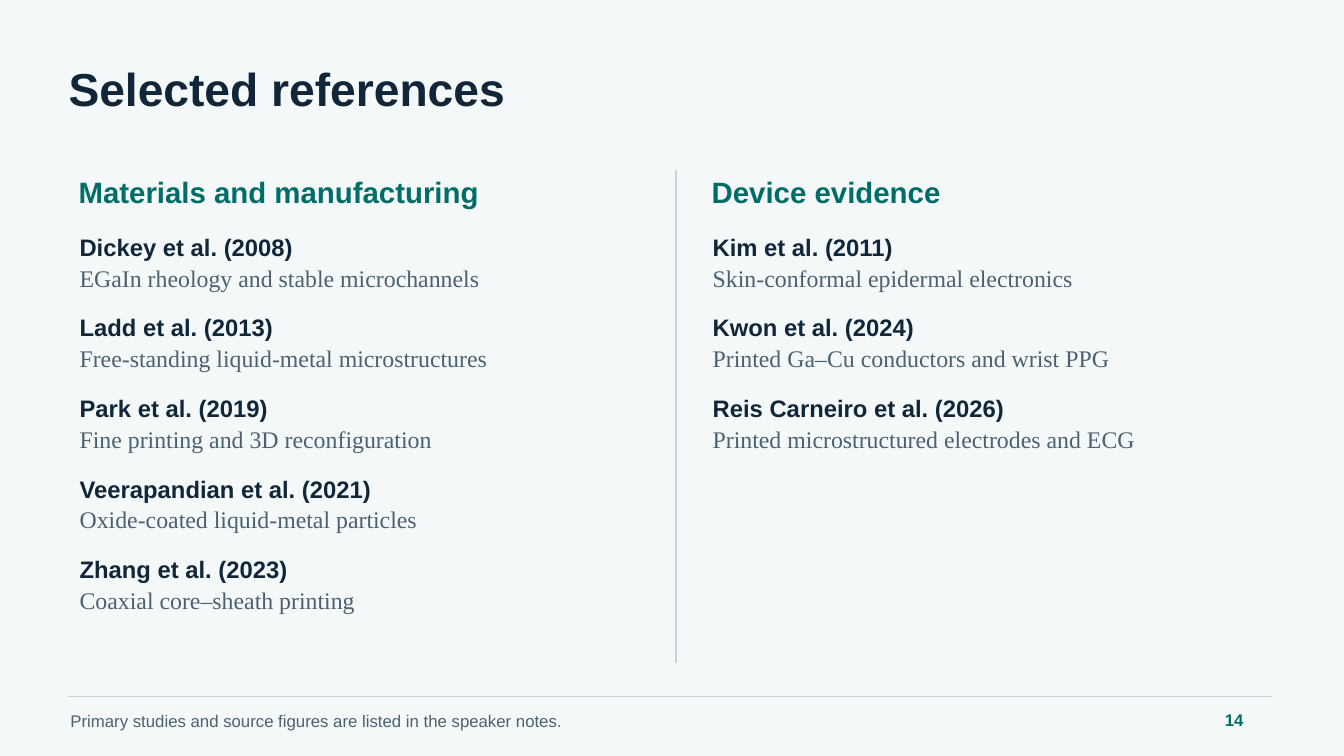
"""Build the selected references slide with two columns of studies."""
from dataclasses import dataclass

from lxml.etree import SubElement
from pptx import Presentation
from pptx.dml.color import RGBColor
from pptx.enum.shapes import MSO_CONNECTOR
from pptx.oxml.ns import qn
from pptx.slide import Slide
from pptx.util import Pt

COLORS = {
    "background": "F5F8F8",
    "ink": "112638",
    "muted": "4C6170",
    "accent": "006D68",
    "rule": "C7D5DB",
}
COLUMN_TOP = 121.7
FIRST_STUDY_TOP = 163.4
STUDY_PITCH = 57.6
TOPIC_OFFSET = 22.3


@dataclass(frozen=True)
class TextStyle:
    font: str
    size: float
    line_spacing: float
    color: str
    bold: bool = False


@dataclass(frozen=True)
class Study:
    citation: str
    topic: str


@dataclass(frozen=True)
class Column:
    heading: str
    left: float
    width: float
    studies: tuple[Study, ...]


TITLE = TextStyle("Arial", 33, 41.4, "ink", True)
HEADING = TextStyle("Arial", 21, 26.6, "accent", True)
CITATION = TextStyle("Arial", 17, 21.6, "ink", True)
TOPIC = TextStyle("Times New Roman", 17, 21.3, "muted")
FOOTER = TextStyle("Arial", 12, 15.4, "muted")
PAGE_NUMBER = TextStyle("Arial", 12, 15.4, "accent", True)

COLUMNS = (
    Column("Materials and manufacturing", 54.7, 439.2, (
        Study("Dickey et al. (2008)", "EGaIn rheology and stable microchannels"),
        Study("Ladd et al. (2013)", "Free-standing liquid-metal microstructures"),
        Study("Park et al. (2019)", "Fine printing and 3D reconfiguration"),
        Study("Veerapandian et al. (2021)", "Oxide-coated liquid-metal particles"),
        Study("Zhang et al. (2023)", "Coaxial core–sheath printing"),
    )),
    Column("Device evidence", 506.9, 399.6, (
        Study("Kim et al. (2011)", "Skin-conformal epidermal electronics"),
        Study("Kwon et al. (2024)", "Printed Ga–Cu conductors and wrist PPG"),
        Study("Reis Carneiro et al. (2026)", "Printed microstructured electrodes and ECG"),
    )),
)


def color(name: str) -> RGBColor:
    return RGBColor.from_string(COLORS[name])


def add_text(slide: Slide, text: str, style: TextStyle,
             left: float, top: float, width: float, height: float) -> None:
    shape = slide.shapes.add_textbox(Pt(left), Pt(top), Pt(width), Pt(height))
    frame = shape.text_frame
    frame.word_wrap = False
    frame.margin_left = frame.margin_right = Pt(1.44)
    frame.margin_top = frame.margin_bottom = Pt(1.44)
    paragraph = frame.paragraphs[0]
    paragraph.line_spacing = Pt(style.line_spacing)
    run = paragraph.add_run()
    run.text = text
    run.font.name = style.font
    run.font.size = Pt(style.size)
    run.font.bold = style.bold
    run.font.color.rgb = color(style.color)


def add_rule(slide: Slide, left: float, top: float,
             right: float, bottom: float, weight: float) -> None:
    connector = slide.shapes.add_connector(
        MSO_CONNECTOR.STRAIGHT, Pt(left), Pt(top), Pt(right), Pt(bottom))
    connector.line.color.rgb = color("rule")
    connector.line.width = Pt(weight)
    SubElement(connector.element.spPr, qn("a:effectLst"))


def add_column(slide: Slide, column: Column) -> None:
    add_text(slide, column.heading, HEADING,
             column.left, COLUMN_TOP, column.width, 28.8)
    left = column.left + 0.7
    for index, study in enumerate(column.studies):
        top = FIRST_STUDY_TOP + index * STUDY_PITCH
        add_text(slide, study.citation, CITATION, left, top, 385.9, 23.8)
        add_text(slide, study.topic, TOPIC, left, top + TOPIC_OFFSET, 385.2, 23.8)


def main() -> None:
    presentation = Presentation()
    presentation.slide_width = Pt(960)
    presentation.slide_height = Pt(540)
    slide = presentation.slides.add_slide(presentation.slide_layouts[6])
    slide.background.fill.solid()
    slide.background.fill.fore_color.rgb = color("background")

    add_text(slide, "Selected references", TITLE, 47.5, 39.6, 865.4, 43.9)
    for column in COLUMNS:
        add_column(slide, column)
    add_rule(slide, 483.1, COLUMN_TOP, 483.1, 473.8, 1.2)
    add_rule(slide, 48.9, 497.5, 908.6, 497.5, 0.85)
    add_text(slide, "Primary studies and source figures are listed in the speaker notes.",
             FOOTER, 48.9, 505.4, 806.4, 18)
    add_text(slide, "14", PAGE_NUMBER, 873.4, 504.7, 35.3, 18)
    presentation.save("out.pptx")


if __name__ == "__main__":
    main()
